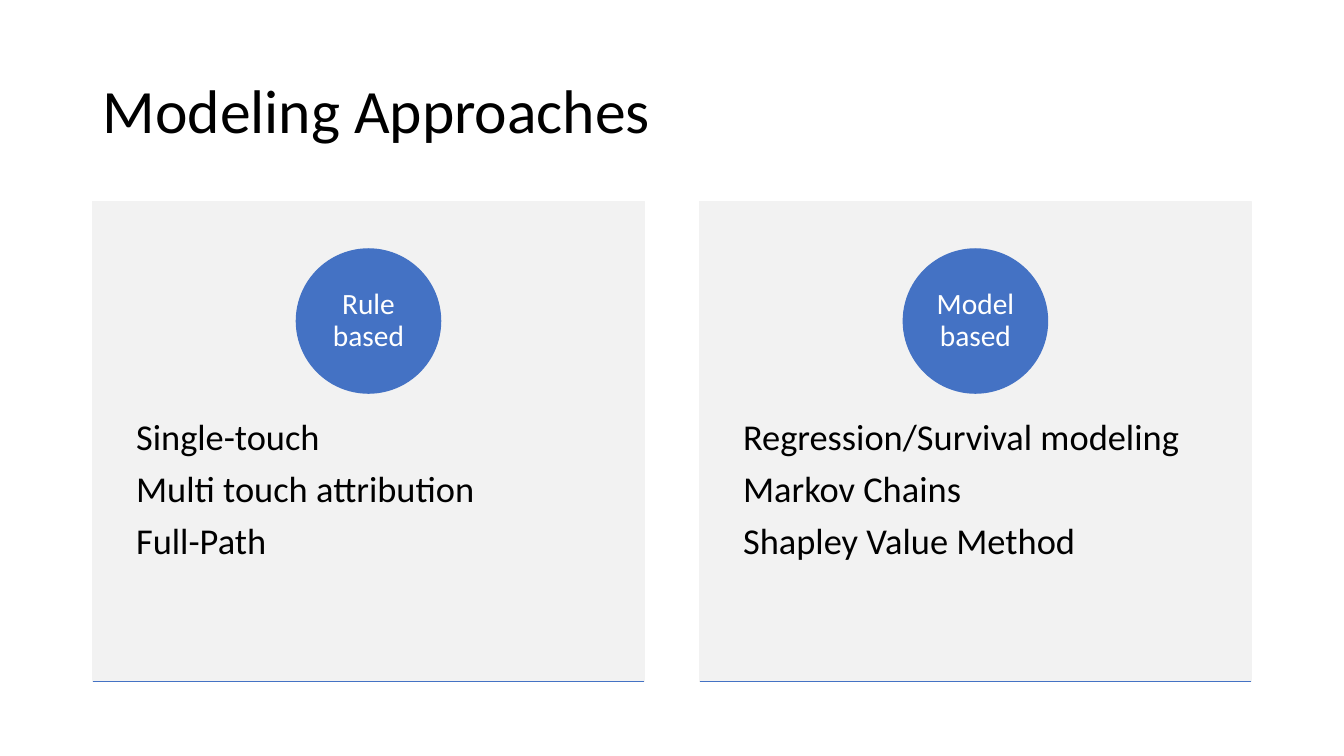
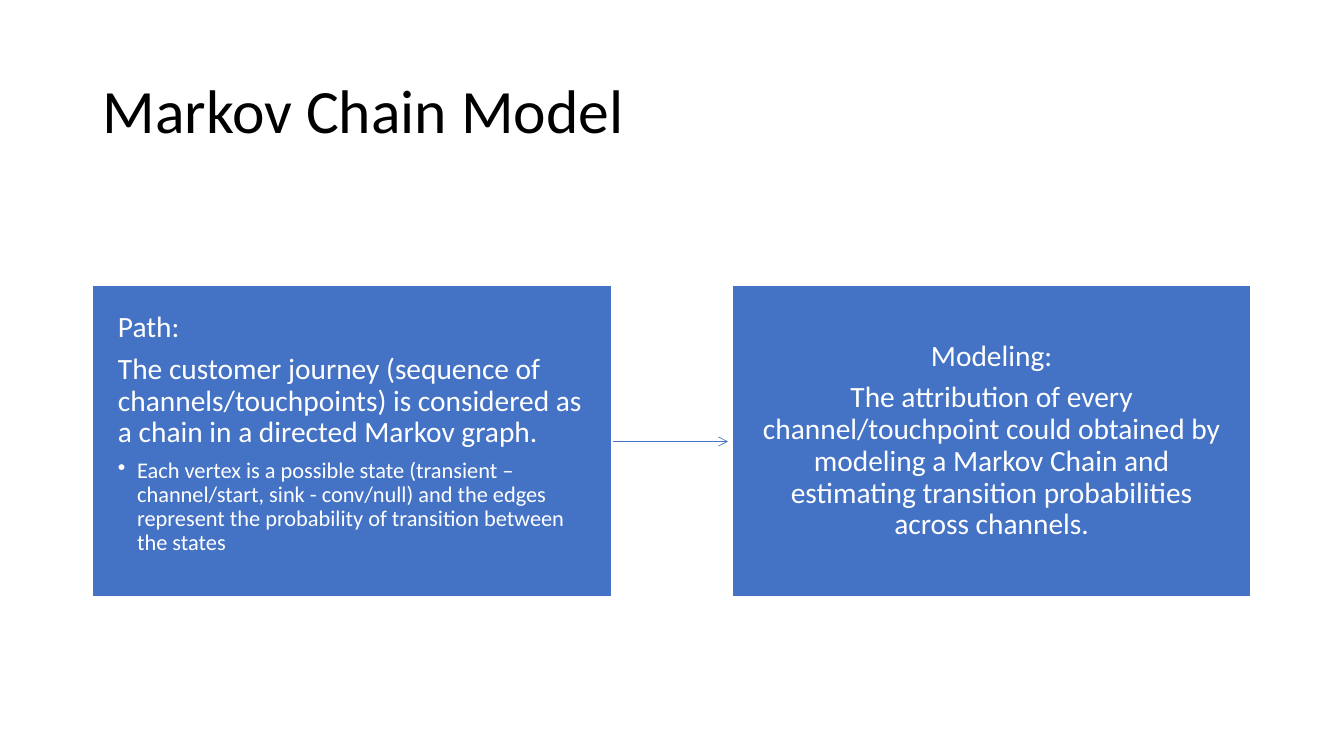
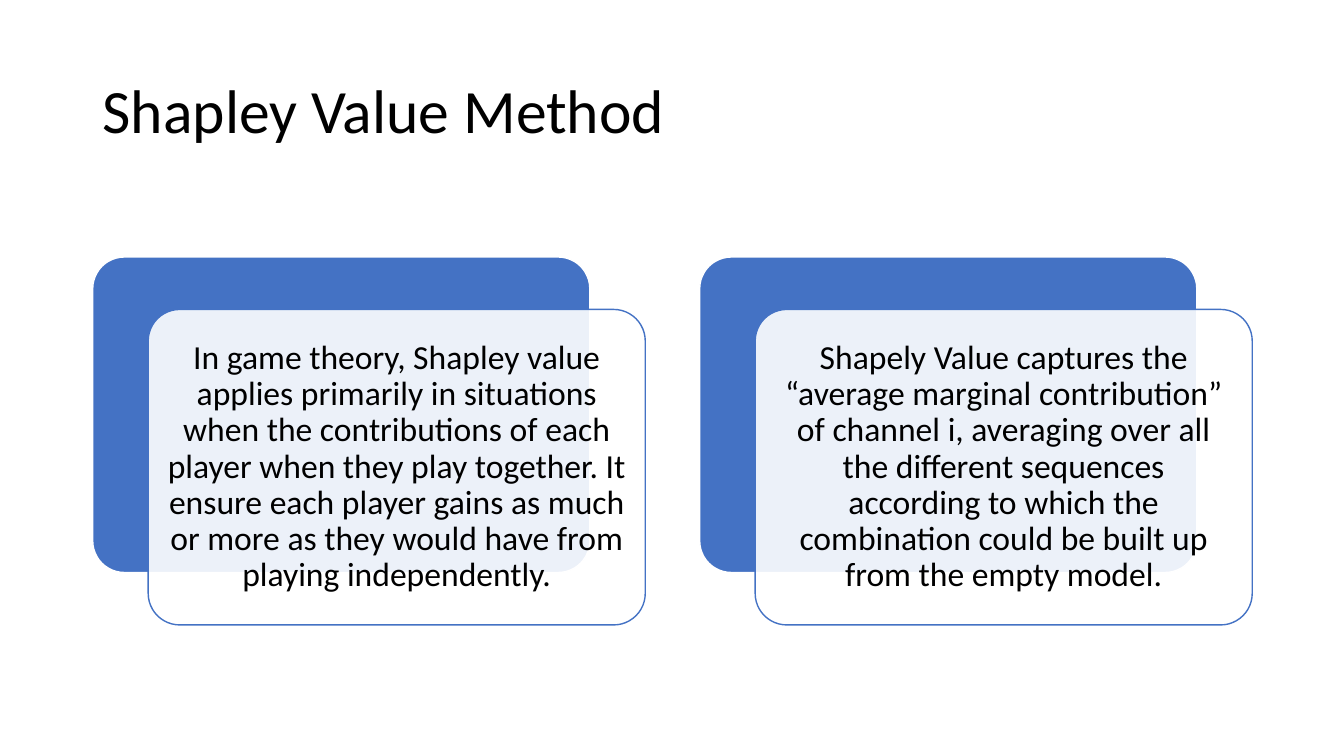
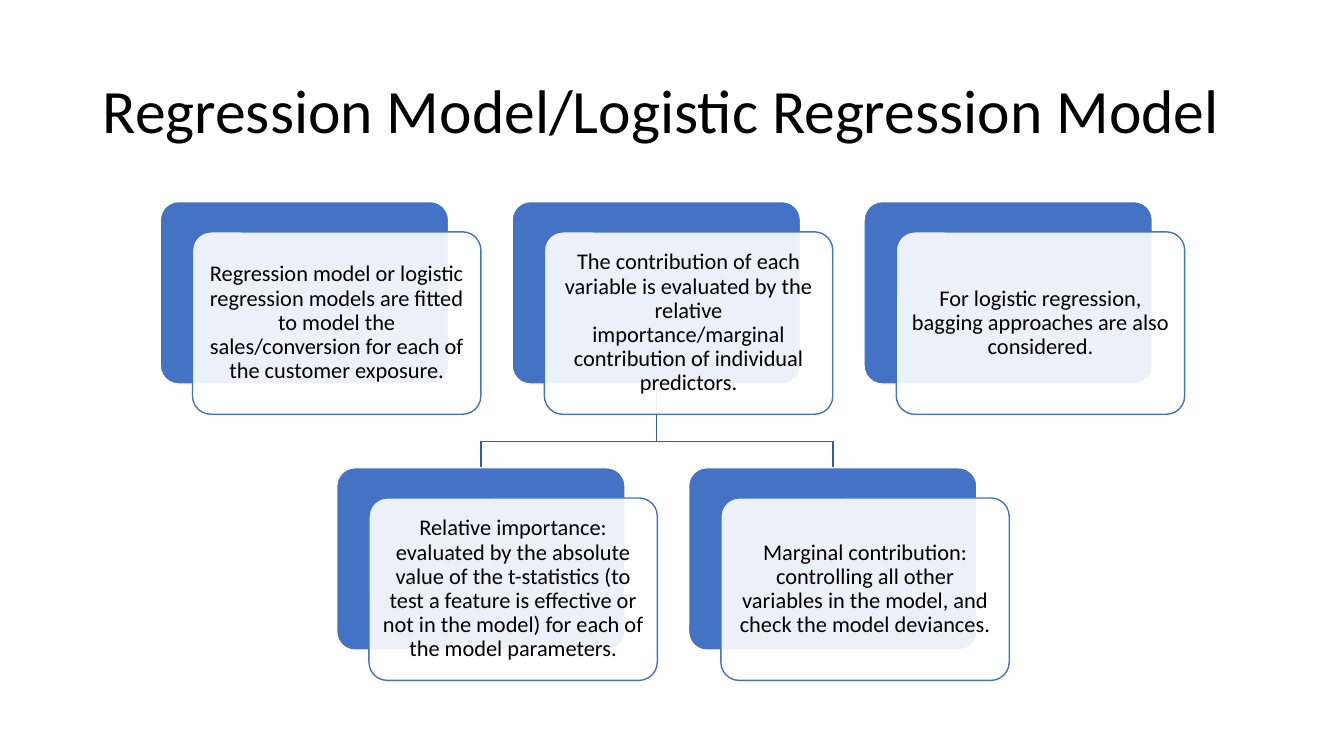
from lxml.etree import SubElement
from pptx import Presentation
from pptx.dml.color import RGBColor
from pptx.enum.shapes import MSO_CONNECTOR, MSO_SHAPE
from pptx.enum.text import MSO_ANCHOR, PP_ALIGN
from pptx.oxml.ns import qn
from pptx.util import Pt

PX = 9144
FONT = "Calibri"
BLUE = RGBColor(0x44, 0x72, 0xC4)
NAVY = RGBColor(0x36, 0x5B, 0x9D)
GREY = RGBColor(0xF2, 0xF2, 0xF2)
WHITE = RGBColor(0xFF, 0xFF, 0xFF)
BLACK = RGBColor(0x00, 0x00, 0x00)
LEFT = 92


def emu(*lengths):
    """Turn px lengths into EMU."""
    return [length * PX for length in lengths]


def write(holder, lines, size, color, align=PP_ALIGN.CENTER,
          anchor=MSO_ANCHOR.MIDDLE, insets=(10, 5, 10, 5)):
    """Set the paragraphs of a shape in one style."""
    frame = holder.text_frame
    frame.text = "\n".join(lines)
    frame.word_wrap = True
    frame.vertical_anchor = anchor
    (frame.margin_left, frame.margin_top,
     frame.margin_right, frame.margin_bottom) = emu(*insets)
    for paragraph in frame.paragraphs:
        paragraph.alignment = align
        paragraph.line_spacing = 0.9
        paragraph.space_after = Pt(round(size * 0.35))
        font = paragraph.runs[0].font
        font.name, font.size, font.color.rgb = FONT, Pt(size), color


def make_bullet(paragraph, size, indent):
    """Turn a paragraph into a smaller bullet with a hanging indent."""
    paragraph.runs[0].font.size = Pt(size)
    properties = paragraph._p.get_or_add_pPr()
    properties.set("marL", str(indent * PX))
    properties.set("indent", str(-indent * PX))
    SubElement(properties, qn("a:buChar")).set("char", "•")


def add_block(slide, preset, box, fill, outline):
    """Add a filled preset shape with a thin outline."""
    block = slide.shapes.add_shape(preset, *emu(*box))
    block.shadow.inherit = False
    block.fill.solid()
    block.fill.fore_color.rgb = fill
    block.line.color.rgb = outline
    block.line.width = Pt(1)
    return block


def add_line(slide, start, end, width, arrow=False):
    """Add a straight blue line, with an open arrowhead on request."""
    line = slide.shapes.add_connector(
        MSO_CONNECTOR.STRAIGHT, *emu(*start, *end))
    line.line.color.rgb = BLUE
    line.line.width = Pt(width)
    properties = line.element.spPr
    if arrow:
        SubElement(properties.find(qn("a:ln")), qn("a:tailEnd")).set("type", "arrow")
    SubElement(properties, qn("a:effectLst"))


def add_branch(slide, points):
    """Add an angled line through the given points."""
    start, *rest = [emu(*point) for point in points]
    builder = slide.shapes.build_freeform(*start)
    builder.add_line_segments(rest, close=False)
    branch = builder.convert_to_shape()
    branch.shadow.inherit = False
    branch.fill.background()
    branch.line.color.rgb = NAVY
    branch.line.width = Pt(1)


def add_titled_slide(deck, title):
    """Add a blank slide with the shared title style."""
    slide = deck.slides.add_slide(deck.slide_layouts[6])
    heading = slide.shapes.add_textbox(*emu(LEFT, 40, 1150, 145))
    write(heading, [title], 44, BLACK, PP_ALIGN.LEFT)
    return slide


def add_panel(slide, left, badge_text, items):
    """Add a grey panel with a round badge, a list and a base line."""
    top, width, height, badge_size = 200, 547, 476, 143
    panel = add_block(slide, MSO_SHAPE.RECTANGLE,
                      (left, top, width, height), GREY, GREY)
    write(panel, items, 26, BLACK, PP_ALIGN.LEFT, MSO_ANCHOR.TOP, (43, 216, 43, 36))
    badge = add_block(slide, MSO_SHAPE.OVAL,
                      (left + (width - badge_size) // 2, top + 47, badge_size, badge_size),
                      BLUE, BLUE)
    write(badge, [badge_text], 21, WHITE, insets=(11, 1, 11, 1))
    base = top + height
    add_line(slide, (left, base), (left + width, base), 1)


def add_step(slide, left, lines, align, anchor):
    """Add a blue step box."""
    step = add_block(slide, MSO_SHAPE.RECTANGLE, (left, 283, 515, 309), BLUE, WHITE)
    write(step, lines, 21, WHITE, align, anchor, (25, 27, 25, 27))
    return step


def add_card(slide, position, extent, offset, text, size, inset):
    """Add a blue card with a translucent text card shifted over it."""
    front_position = [start + shift for start, shift in zip(position, offset)]
    back = add_block(slide, MSO_SHAPE.ROUNDED_RECTANGLE, (*position, *extent), BLUE, WHITE)
    front = add_block(slide, MSO_SHAPE.ROUNDED_RECTANGLE,
                      (*front_position, *extent), WHITE, BLUE)
    for card in (back, front):
        card.adjustments[0] = 0.1
    tint = front.element.spPr.find(qn("a:solidFill")).find(qn("a:srgbClr"))
    SubElement(tint, qn("a:alpha")).set("val", "90000")
    write(front, [text], size, BLACK, insets=(inset,) * 4)


def build_approaches(deck):
    """Build the slide on modeling approaches."""
    slide = add_titled_slide(deck, "Modeling Approaches")
    panels = [
        ("Rule based", ["Single-touch", "Multi touch attribution", "Full-Path"]),
        ("Model based", ["Regression/Survival modeling", "Markov Chains",
                         "Shapley Value Method"]),
    ]
    for column, (badge_text, items) in enumerate(panels):
        add_panel(slide, LEFT + column * 602, badge_text, items)


def build_markov(deck):
    """Build the slide on the Markov chain."""
    slide = add_titled_slide(deck, "Markov Chain Model")
    add_line(slide, (607, 438), (722, 438), 0.5, arrow=True)
    journey = add_step(slide, LEFT, [
        "Path:",
        "The customer journey (sequence of channels/touchpoints) is considered "
        "as a chain in a directed Markov graph.",
        "Each vertex is a possible state (transient – channel/start, sink - "
        "conv/null) and the edges represent the probability of transition "
        "between the states",
    ], PP_ALIGN.LEFT, MSO_ANCHOR.TOP)
    make_bullet(journey.text_frame.paragraphs[-1], 16, 19)
    add_step(slide, 726, [
        "Modeling:",
        "The attribution of every channel/touchpoint could obtained by modeling "
        "a Markov Chain and estimating transition probabilities across channels.",
    ], PP_ALIGN.CENTER, MSO_ANCHOR.MIDDLE)


def build_shapley(deck):
    """Build the slide on the Shapley value."""
    slide = add_titled_slide(deck, "Shapley Value Method")
    statements = [
        "In game theory, Shapley value applies primarily in situations when the "
        "contributions of each player when they play together. It ensure each "
        "player gains as much or more as they would have from playing independently.",
        "Shapely Value captures the “average marginal contribution” of channel i, "
        "averaging over all the different sequences according to which the "
        "combination could be built up from the empty model.",
    ]
    for column, statement in enumerate(statements):
        add_card(slide, (LEFT + column * 602, 255), (493, 313), (55, 52),
                 statement, 24, 10)


def build_regression(deck):
    """Build the slide on regression models."""
    slide = add_titled_slide(deck, "Regression Model/Logistic Regression Model")
    width, height, pitch = 286, 181, 349
    rows = [
        (159, 200, [
            "Regression model or logistic regression models are fitted to model "
            "the sales/conversion for each of the customer exposure.",
            "The contribution of each variable is evaluated by the relative "
            "importance/marginal contribution of individual predictors.",
            "For logistic regression, bagging approaches are also considered.",
        ]),
        (334, 464, [
            "Relative importance: evaluated by the absolute value of the "
            "t-statistics (to test a feature is effective or not in the model) "
            "for each of the model parameters.",
            "Marginal contribution: controlling all other variables in the model, "
            "and check the model deviances.",
        ]),
    ]
    (parent_left, parent_top, _), (child_left, child_top, children) = rows
    trunk = parent_left + pitch + width // 2
    trunk_top, fork = parent_top + height, 438
    for column in range(len(children)):
        child = child_left + column * pitch + width // 2
        add_branch(slide, [(trunk, trunk_top), (trunk, fork),
                           (child, fork), (child, child_top)])
    for left, top, statements in rows:
        for column, statement in enumerate(statements):
            add_card(slide, (left + column * pitch, top), (width, height),
                     (32, 30), statement, 16, 7)


def main():
    """Build and save the deck."""
    deck = Presentation()
    deck.slide_width, deck.slide_height = emu(1333, 750)
    build_approaches(deck)
    build_markov(deck)
    build_shapley(deck)
    build_regression(deck)
    deck.save("out.pptx")


if __name__ == "__main__":
    main()
